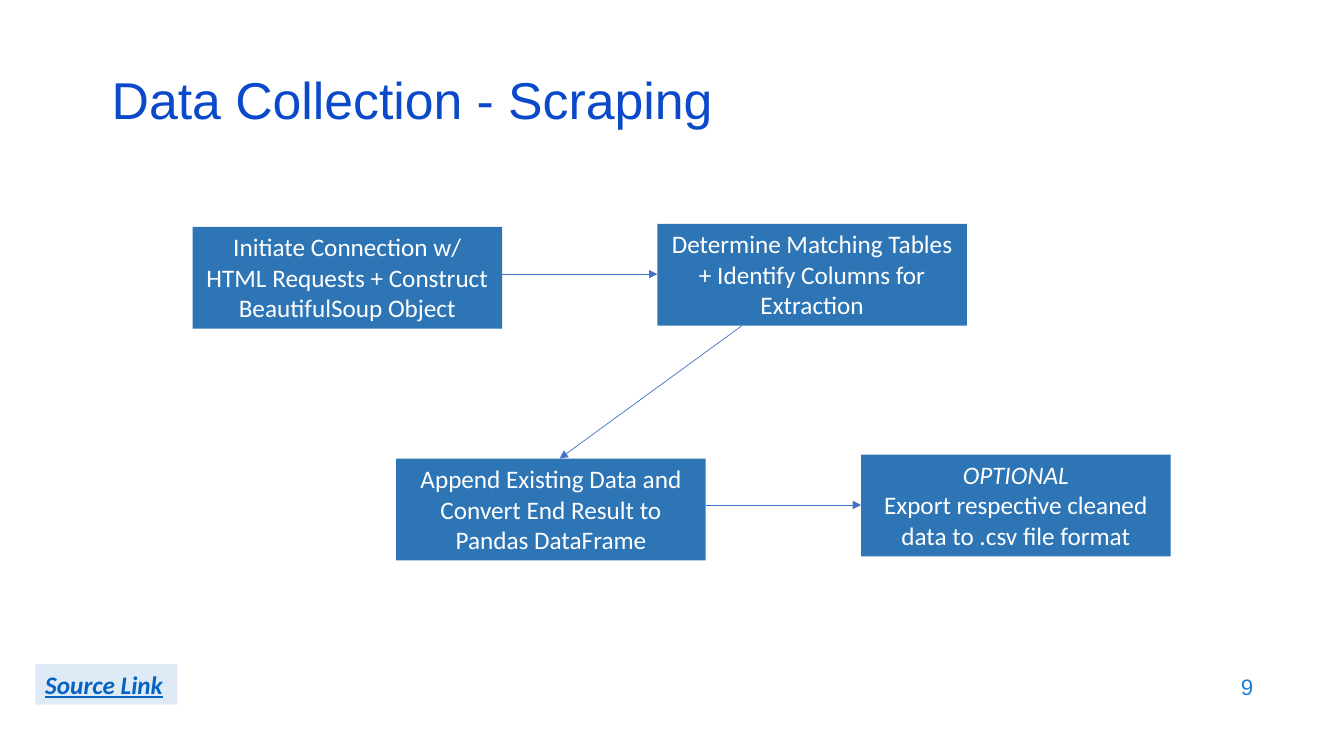
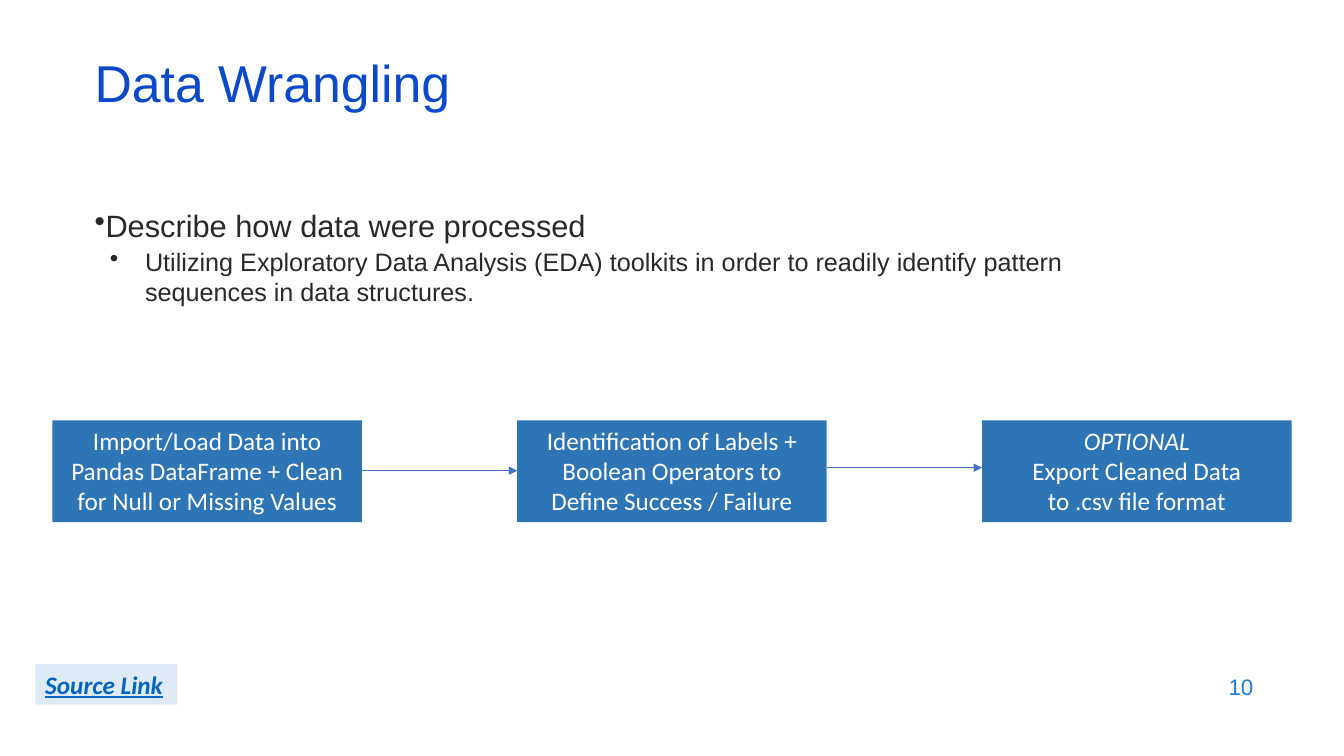
import pptx
import pptx.dml.color
import pptx.enum.shapes
import pptx.enum.text
import pptx.oxml.ns
import pptx.util
from lxml import etree

Inches = pptx.util.Inches
Pt = pptx.util.Pt
ALIGN = pptx.enum.text.PP_ALIGN
ANCHOR = pptx.enum.text.MSO_ANCHOR
FIT = pptx.enum.text.MSO_AUTO_SIZE

COLORS = {
    "title": "0B49CB",
    "body": "292929",
    "page": "1C7DDB",
    "step": "2E75B6",
    "step_text": "FFFFFF",
    "arrow": "4472C4",
    "tag": "DEEBF7",
    "link": "0563C1",
}

# Each style holds font values, with the colour given as a key of COLORS.
STYLES = {
    "title": {"name": "Arial", "size": Pt(37), "color": "title"},
    "page": {"name": "Arial", "size": Pt(16), "color": "page"},
    "bullet": {"name": "Arial", "size": Pt(22), "color": "body"},
    "subbullet": {"name": "Arial", "size": Pt(18), "color": "body"},
    "step": {"name": "Calibri", "size": Pt(18), "color": "step_text"},
    "link": {"name": "Calibri", "size": Pt(18), "color": "link",
             "bold": True, "italic": True, "underline": True},
}
STYLES["optional"] = {**STYLES["step"], "italic": True}

STEP_W, STEP_H = 3.07, 1.01
STEP_PITCH = 4.61


def rgb(key):
    return pptx.dml.color.RGBColor.from_string(COLORS[key])


def set_values(target, values):
    for name, value in values.items():
        setattr(target, name, value)


def write(frame, lines, **paragraph_format):
    """Fill a text frame with one paragraph per (text, style name) pair."""
    for index, (text, style) in enumerate(lines):
        paragraph = frame.add_paragraph() if index else frame.paragraphs[0]
        set_values(paragraph, paragraph_format)
        run = paragraph.add_run()
        run.text = text
        font_values = dict(STYLES[style])
        run.font.color.rgb = rgb(font_values.pop("color"))
        set_values(run.font, font_values)


def add_text(slide, box, lines, anchor=ANCHOR.MIDDLE, **paragraph_format):
    frame = slide.shapes.add_textbox(*map(Inches, box)).text_frame
    set_values(frame, {"word_wrap": True, "vertical_anchor": anchor})
    write(frame, lines, **paragraph_format)
    return frame


def add_panel(slide, box, fill, lines, alignment):
    panel = slide.shapes.add_shape(
        pptx.enum.shapes.MSO_SHAPE.RECTANGLE, *map(Inches, box))
    panel.shadow.inherit = False
    panel.fill.solid()
    panel.fill.fore_color.rgb = rgb(fill)
    panel.line.fill.background()
    set_values(panel.text_frame, {
        "word_wrap": True,
        "vertical_anchor": ANCHOR.TOP,
        "auto_size": FIT.SHAPE_TO_FIT_TEXT,
    })
    write(panel.text_frame, lines, alignment=alignment)


def add_step(slide, left, top, *texts, optional=False):
    lines = [(text, "step") for text in texts]
    if optional:
        lines.insert(0, ("OPTIONAL", "optional"))
    add_panel(slide, (left, top, STEP_W, STEP_H), "step", lines, ALIGN.CENTER)


def add_arrow(slide, start, end):
    arrow = slide.shapes.add_connector(
        pptx.enum.shapes.MSO_CONNECTOR.STRAIGHT, *map(Inches, start + end))
    arrow.line.color.rgb = rgb("arrow")
    arrow.line.width = Pt(0.5)
    qn = pptx.oxml.ns.qn
    etree.SubElement(arrow.line._get_or_add_ln(), qn("a:tailEnd"), type="triangle")
    etree.SubElement(arrow._element.spPr, qn("a:effectLst"))


def add_step_arrow(slide, left, y):
    """Join the step that starts at left to the next one in its row."""
    add_arrow(slide, (left + STEP_W, y), (left + STEP_PITCH, y))


def set_bullet(paragraph, margin, indent):
    properties = paragraph._p.get_or_add_pPr()
    properties.set("marL", str(Inches(margin)))
    properties.set("indent", str(Inches(indent)))
    etree.SubElement(properties, pptx.oxml.ns.qn("a:buChar"), char="•")


def add_base_slide(deck, title, title_left, title_top, page):
    """Add a slide with the shared title, page number and link tag."""
    slide = deck.slides.add_slide(deck.slide_layouts[6])
    add_text(slide, (title_left, title_top, 11.5, 0.6), [(title, "title")],
             line_spacing=0.7)
    add_text(slide, (9.53, 6.59, 3, 0.44), [(page, "page")],
             alignment=ALIGN.RIGHT)
    add_panel(slide, (0.35, 6.59, 1.41, 0.4), "tag",
              [("Source Link", "link")], ALIGN.LEFT)
    return slide


def build_scraping(deck):
    slide = add_base_slide(deck, "Data Collection - Scraping", 1.01, 0.76, "9")
    upper, lower = 1.91, 3.93
    append_top = 4.55
    add_step(slide, upper, 2.25,
             "Initiate Connection w/ HTML Requests + Construct",
             "BeautifulSoup Object")
    add_step(slide, upper + STEP_PITCH, 2.22,
             "Determine Matching Tables + Identify Columns for Extraction")
    add_step(slide, lower, append_top,
             "Append Existing Data and Convert End Result to Pandas DataFrame")
    add_step(slide, lower + STEP_PITCH, 4.51,
             "Export respective cleaned data to .csv file format", optional=True)
    add_step_arrow(slide, upper, 2.72)
    add_arrow(slide, (7.36, 2.22 + STEP_H), (5.55, append_top))
    add_step_arrow(slide, lower, 5.01)


def build_wrangling(deck):
    slide = add_base_slide(deck, "Data Wrangling", 0.84, 0.59, "10")
    summary = add_text(slide, (0.84, 2, 9.82, 1.36), [
        ("Describe how data were processed", "bullet"),
        ("Utilizing Exploratory Data Analysis (EDA) toolkits in order to readily "
         "identify pattern sequences in data structures.", "subbullet"),
    ], anchor=ANCHOR.TOP)
    topic, detail = summary.paragraphs
    set_values(detail, {"level": 1, "space_before": Pt(2)})
    set_bullet(topic, 0, 0)
    set_bullet(detail, 0.5, -0.35)

    load, label, export = (0.52 + i * STEP_PITCH for i in range(3))
    top = 4.17
    add_step(slide, load, top,
             "Import/Load Data into Pandas DataFrame + Clean for Null or Missing Values")
    add_step(slide, label, top,
             "Identification of Labels + Boolean Operators to Define Success / Failure")
    add_step(slide, export, top,
             "Export Cleaned Data", "to .csv file format", optional=True)
    add_step_arrow(slide, load, 4.67)
    add_step_arrow(slide, label, 4.64)


def main():
    deck = pptx.Presentation()
    set_values(deck, {"slide_width": Inches(13.33), "slide_height": Inches(7.5)})
    build_scraping(deck)
    build_wrangling(deck)
    deck.save("out.pptx")


if __name__ == "__main__":
    main()
